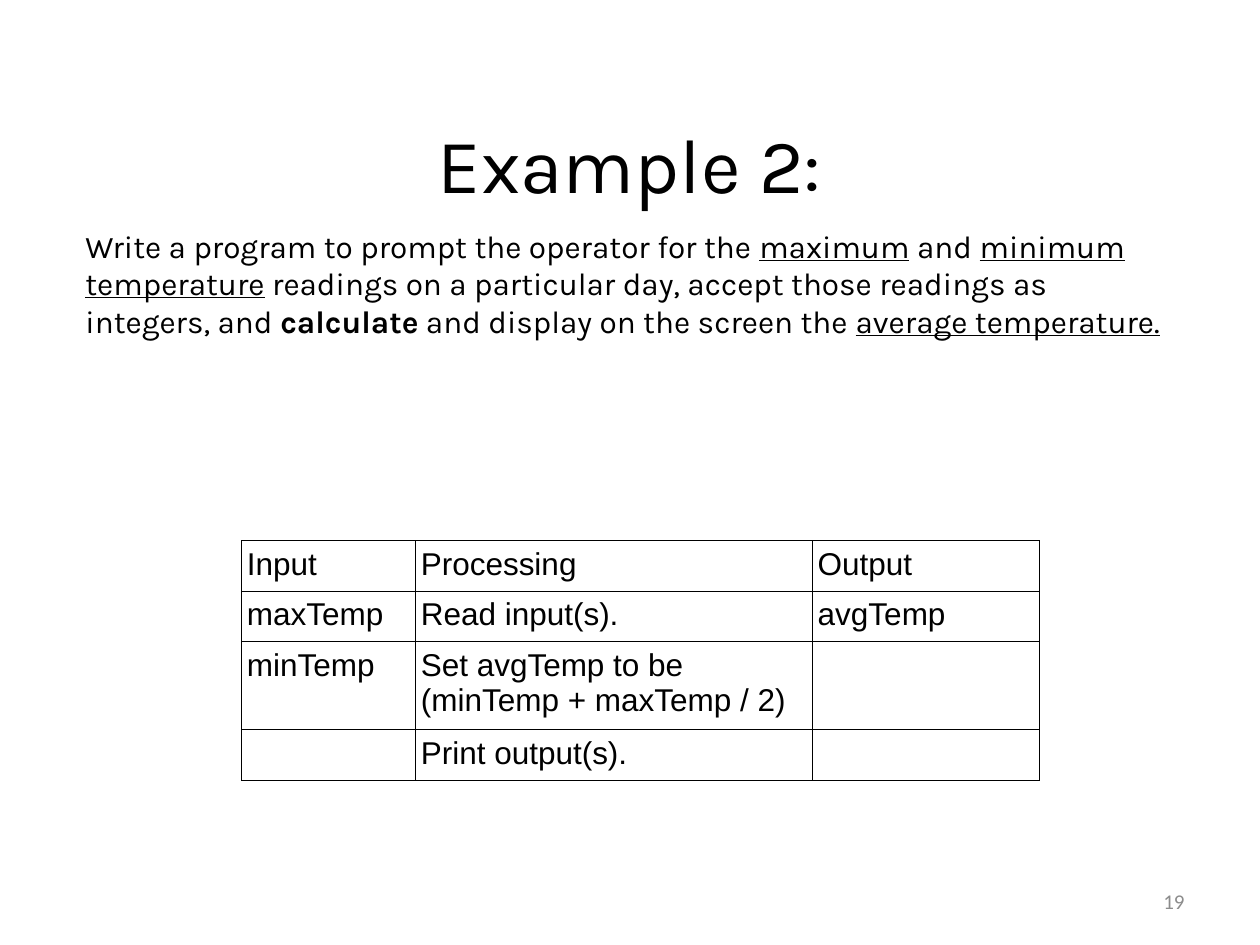
from dataclasses import dataclass

from lxml import etree
from pptx import Presentation
from pptx import util as u
from pptx.dml.color import RGBColor
from pptx.enum import text
from pptx.oxml.ns import qn


@dataclass(frozen=True)
class Theme:
    ink: str = "000000"
    muted: str = "8C8C8C"
    heading_font: str = "Karla"
    table_font: str = "Arial"
    number_font: str = "Calibri"
    title_size: float = 44
    body_size: float = 18
    number_size: float = 12
    border_width: float = 0.57


THEME = Theme()
TABLE_ROWS = [
    ["Input", "Processing", "Output"],
    ["maxTemp", "Read input(s).", "avgTemp"],
    ["minTemp", "Set avgTemp to be\n(minTemp + maxTemp / 2)", ""],
    ["", "Print output(s).", ""],
]
TASK = [
    ("Write a program to prompt the operator for the ", ""),
    ("maximum", "underline"),
    (" and ", ""),
    ("minimum temperature", "underline"),
    (" readings on a particular day, accept those readings as integers, and ", ""),
    ("calculate", "bold"),
    (" and display on the screen the ", ""),
    ("average temperature.", "underline"),
]


def write_text(frame, content, font=THEME.heading_font, size=THEME.body_size,
               color=THEME.ink, align=text.PP_ALIGN.LEFT,
               anchor=text.MSO_ANCHOR.TOP):
    """Fill a text frame from a string or a list of (words, style) pairs."""
    frame.word_wrap = True
    frame.vertical_anchor = anchor
    paragraph = frame.paragraphs[0]
    paragraph.alignment = align
    paragraph.font.size = u.Pt(size)
    pieces = [(content, "")] if isinstance(content, str) else content
    for words, style in pieces:
        for index, line in enumerate(words.split("\n")):
            if index:
                paragraph.add_line_break()
            run = paragraph.add_run()
            run.text = line
            run.font.name = font
            run.font.size = u.Pt(size)
            run.font.color.rgb = RGBColor.from_string(color)
            run.font.bold = style == "bold"
            run.font.underline = style == "underline"


def add_title(slide, box):
    title = slide.shapes.title
    title.left, title.top, title.width, title.height = box
    write_text(title.text_frame, "Example 2:", size=THEME.title_size,
               align=text.PP_ALIGN.CENTER, anchor=text.MSO_ANCHOR.MIDDLE)


def add_text(slide, box, content, **style):
    shape = slide.shapes.add_textbox(*box)
    write_text(shape.text_frame, content, **style)


def add_borders(cell):
    properties = cell._tc.get_or_add_tcPr()
    for position, side in enumerate(("lnL", "lnR", "lnT", "lnB")):
        line = etree.Element(qn(f"a:{side}"), w=str(u.Pt(THEME.border_width)))
        fill = etree.SubElement(line, qn("a:solidFill"))
        etree.SubElement(fill, qn("a:srgbClr"), val=THEME.ink)
        properties.insert(position, line)


def add_plan_table(slide, box):
    table = slide.shapes.add_table(len(TABLE_ROWS), len(TABLE_ROWS[0]), *box).table
    table.first_row = table.horz_banding = False
    for column, width in zip(table.columns, (1.38, 3.15, 1.8)):
        column.width = u.Inches(width)
    for row, height in zip(table.rows, (0.4, 0.4, 0.7, 0.4)):
        row.height = u.Inches(height)
    for row, words in zip(table.rows, TABLE_ROWS):
        for cell, content in zip(row.cells, words):
            cell.margin_left = cell.margin_right = u.Inches(0.04)
            cell.margin_top = cell.margin_bottom = u.Inches(0.05)
            cell.fill.background()
            add_borders(cell)
            if content:
                write_text(cell.text_frame, content, font=THEME.table_font)
            else:
                cell.text_frame.paragraphs[0].font.size = u.Pt(THEME.body_size)


def inches(*lengths):
    return [u.Inches(length) for length in lengths]


def main():
    presentation = Presentation()
    presentation.slide_width, presentation.slide_height = inches(10, 7.5)
    slide = presentation.slides.add_slide(presentation.slide_layouts[5])

    # Heading and task statement
    add_title(slide, inches(0.75, 0.67, 8.5, 1.25))
    add_text(slide, inches(0.58, 1.75, 8.83, 1.6), TASK)

    # Input, processing and output plan
    add_plan_table(slide, inches(1.92, 4.29, 6.33, 1.9))

    # Slide number
    add_text(slide, inches(7.17, 6.95, 2.33, 0.4), "19",
             font=THEME.number_font, size=THEME.number_size, color=THEME.muted,
             align=text.PP_ALIGN.RIGHT, anchor=text.MSO_ANCHOR.MIDDLE)

    presentation.save("out.pptx")


if __name__ == "__main__":
    main()
